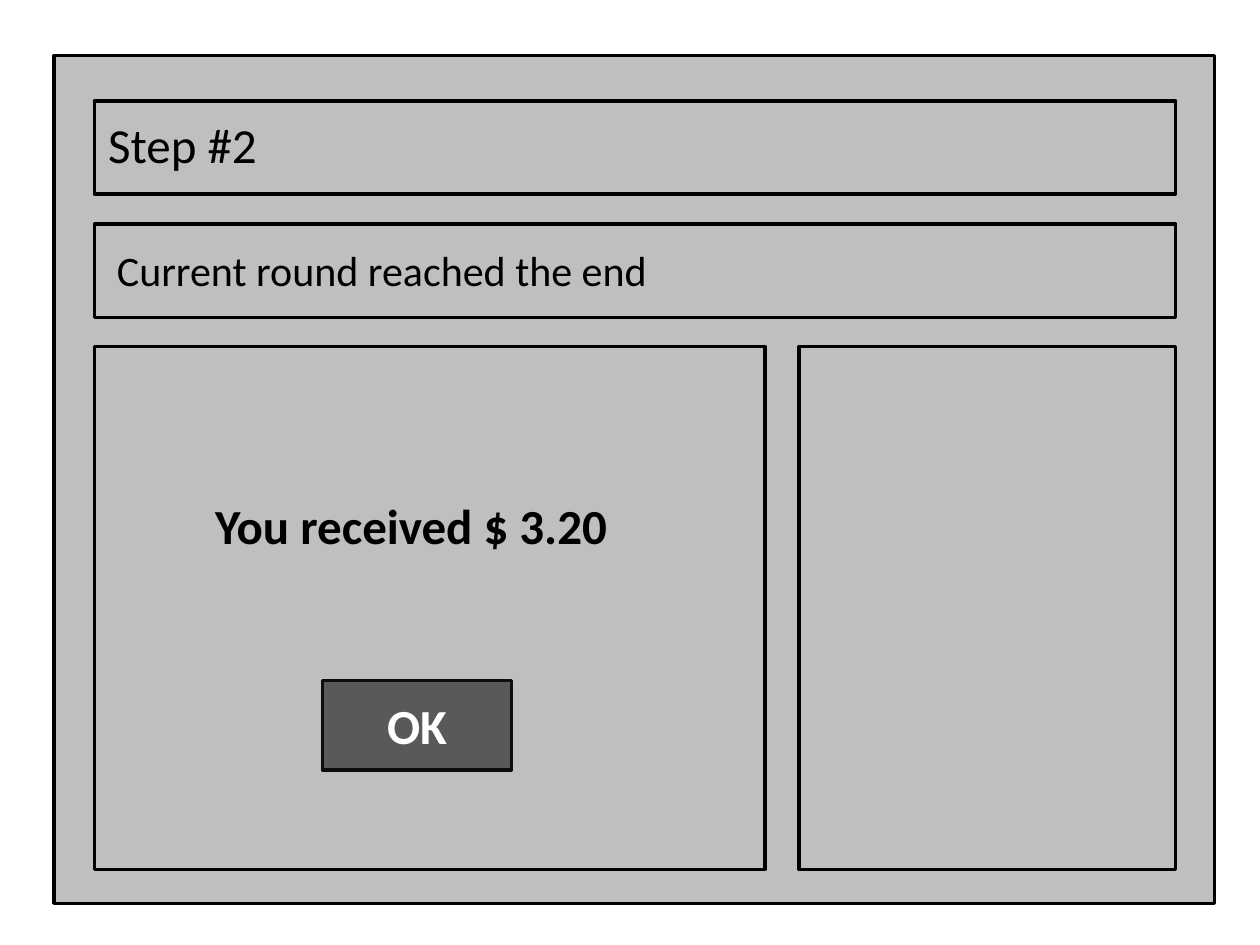
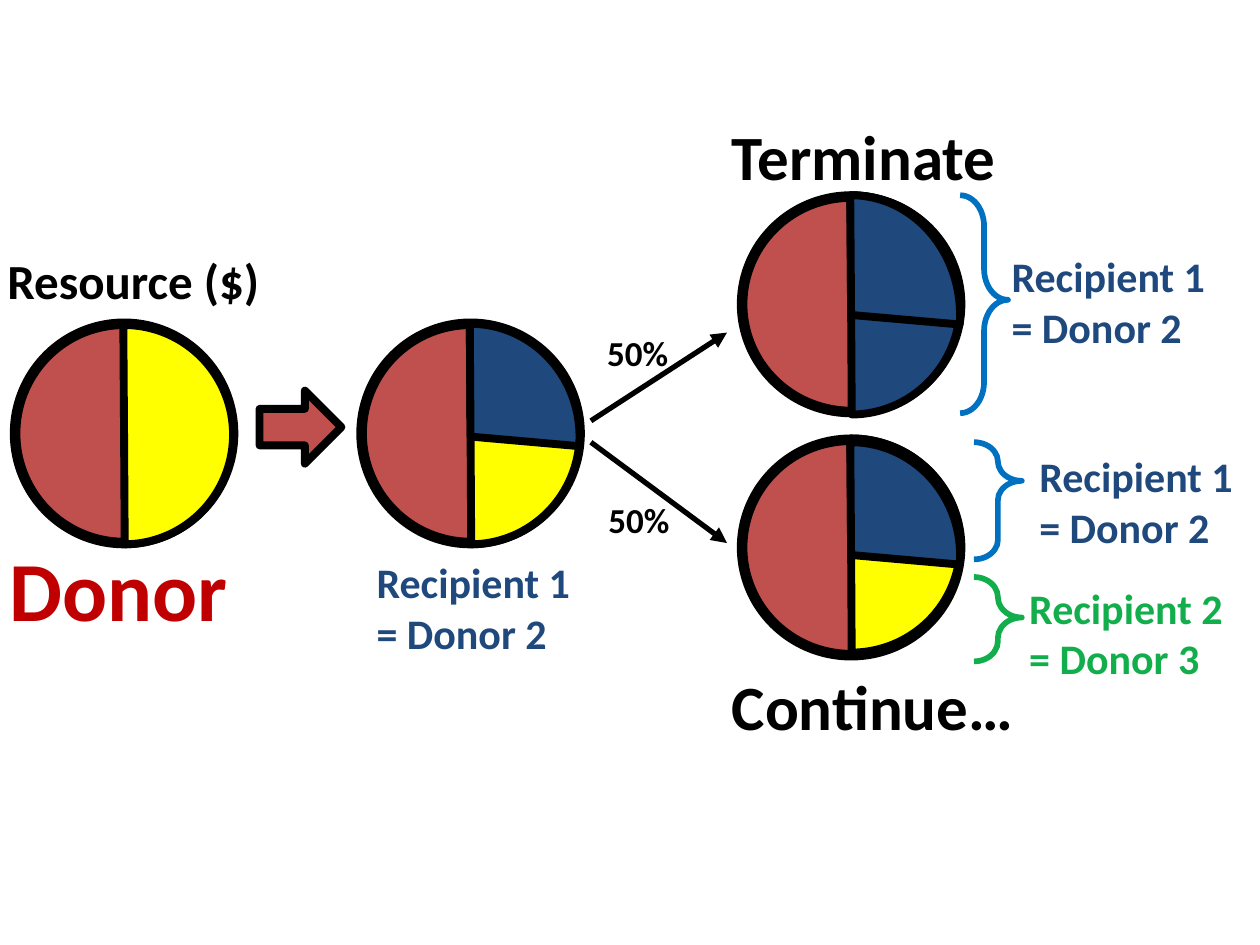
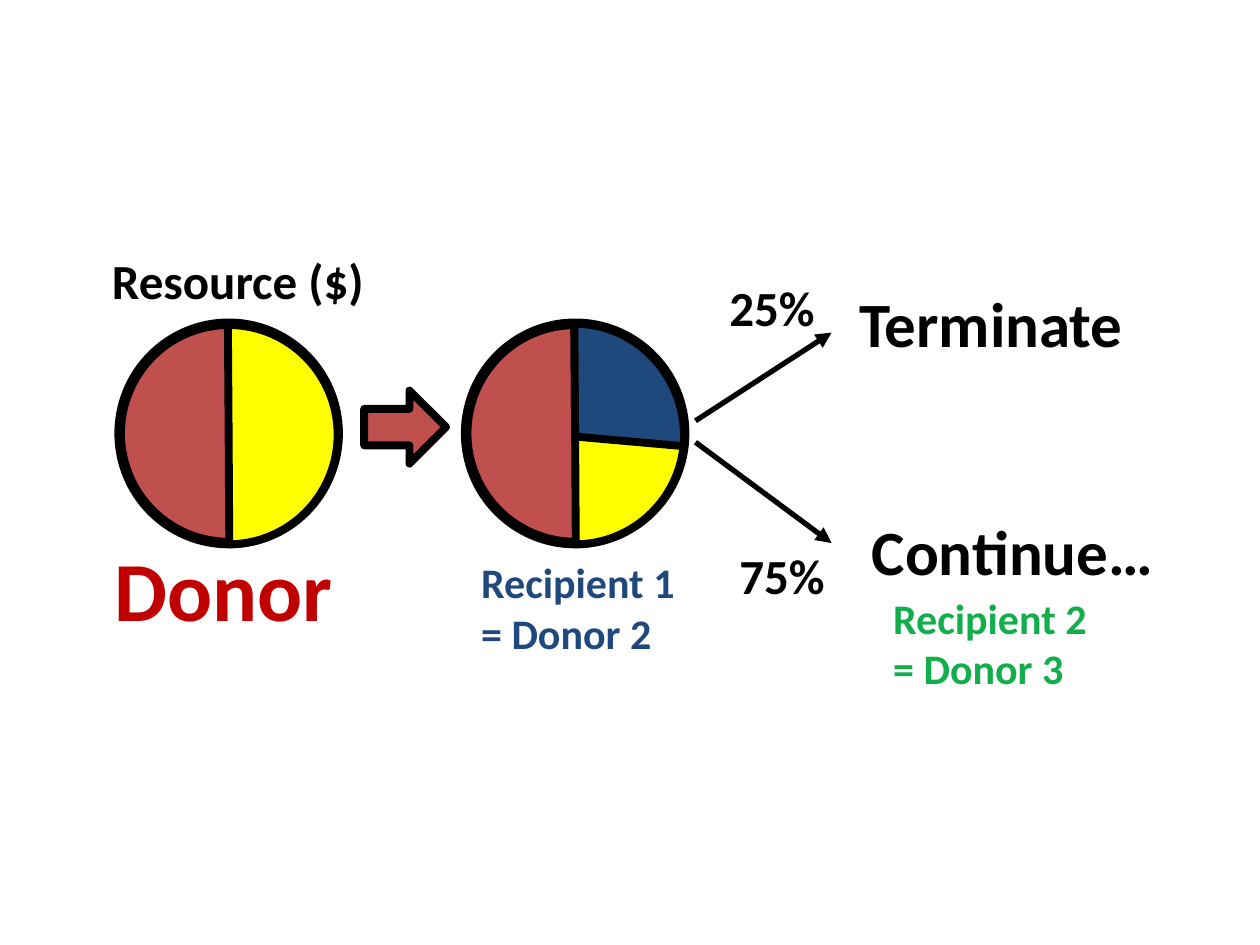
from pptx import Presentation
from pptx.dml.color import RGBColor
from pptx.enum.shapes import MSO_CONNECTOR, MSO_SHAPE
from pptx.enum.text import MSO_ANCHOR, MSO_AUTO_SIZE, PP_ALIGN
from pptx.oxml.ns import qn
from pptx.util import Inches, Pt
from lxml import etree

FONT = "Calibri"
BLACK = RGBColor(0x00, 0x00, 0x00)
WHITE = RGBColor(0xFF, 0xFF, 0xFF)
PANEL_GRAY = RGBColor(0xBF, 0xBF, 0xBF)
BUTTON_GRAY = RGBColor(0x59, 0x59, 0x59)
BUTTON_EDGE = RGBColor(0x0D, 0x0D, 0x0D)
DONOR_RED = RGBColor(0xC0, 0x00, 0x00)
SHARE_RED = RGBColor(0xC0, 0x50, 0x4D)
SHARE_YELLOW = RGBColor(0xFF, 0xFF, 0x00)
RECIPIENT_BLUE = RGBColor(0x1F, 0x49, 0x7D)
BRACE_BLUE = RGBColor(0x00, 0x70, 0xC0)
RECIPIENT_GREEN = RGBColor(0x11, 0xAE, 0x4B)

FIRST_RECIPIENT = "Recipient 1\n= Donor 2"
SECOND_RECIPIENT = "Recipient 2\n= Donor 3"

# Pie adjustments are 0.6 per degree, clockwise from three o'clock
PIE_START, HALF_END, QUARTER_END = 161.77, 53.8, 3.01


def add_figure(slide, kind, box, fill, line, line_width, adjustments=()):
    """Add a preset shape; box is left, top, width, height in inches."""
    shape = slide.shapes.add_shape(kind, *[Inches(length) for length in box])
    shape.shadow.inherit = False
    if fill is None:
        shape.fill.background()
    else:
        shape.fill.solid()
        shape.fill.fore_color.rgb = fill
    shape.line.color.rgb = line
    shape.line.width = Pt(line_width)
    for index, value in enumerate(adjustments):
        shape.adjustments[index] = value
    return shape


def add_label(slide, text, box, size, color=BLACK, bold=True, wrap=False):
    label = slide.shapes.add_textbox(*[Inches(length) for length in box])
    text_frame = label.text_frame
    text_frame.text = text
    text_frame.word_wrap = wrap
    text_frame.auto_size = MSO_AUTO_SIZE.NONE if wrap else MSO_AUTO_SIZE.SHAPE_TO_FIT_TEXT
    for paragraph in text_frame.paragraphs:
        paragraph.font.name = FONT
        paragraph.font.size = Pt(size)
        paragraph.font.bold = bold
        paragraph.font.color.rgb = color


presentation = Presentation()
presentation.slide_width = Inches(10)
presentation.slide_height = Inches(7.5)
blank_layout = presentation.slide_layouts[6]
screen_slide, even_slide, uneven_slide = [
    presentation.slides.add_slide(blank_layout) for _ in range(3)]

# Slide 1: the screen at the end of a round
LEFT, FULL_WIDTH, BAR_HEIGHT = 0.75, 8.58, 0.74
PANEL_TOP, PANEL_HEIGHT, SIDE_WIDTH = 2.75, 4.15, 2.99
side_left = LEFT + FULL_WIDTH - SIDE_WIDTH

add_figure(screen_slide, MSO_SHAPE.RECTANGLE, (0.43, 0.44, 9.21, 6.73), PANEL_GRAY, BLACK, 2)
for frame in [
    (LEFT, 0.8, FULL_WIDTH, BAR_HEIGHT),
    (LEFT, 1.78, FULL_WIDTH, BAR_HEIGHT),
    (LEFT, PANEL_TOP, 5.32, PANEL_HEIGHT),
    (side_left, PANEL_TOP, SIDE_WIDTH, PANEL_HEIGHT),
]:
    add_figure(screen_slide, MSO_SHAPE.RECTANGLE, frame, None, BLACK, 2)
add_label(screen_slide, "Step #2", (0.76, 0.86, 3.6, 0.63), 28, bold=False, wrap=True)
add_label(screen_slide, "Current round reached the end", (0.83, 1.89, 8.5, 0.52), 24,
          bold=False, wrap=True)
add_label(screen_slide, "You received $ 3.20", (1.61, 3.88, 3.62, 0.97), 28, wrap=True)

button = add_figure(screen_slide, MSO_SHAPE.RECTANGLE, (2.56, 5.4, 1.5, 0.71),
                    BUTTON_GRAY, BUTTON_EDGE, 2)
button.text_frame.text = "OK"
button.text_frame.vertical_anchor = MSO_ANCHOR.MIDDLE
caption = button.text_frame.paragraphs[0]
caption.alignment = PP_ALIGN.CENTER
caption.font.name = FONT
caption.font.size = Pt(28)
caption.font.bold = True
caption.font.color.rgb = WHITE

# Slides 2 and 3: how the resource is split; each part is (top, height)
DISC_WIDTH = 1.73
DISC, HALF, QUARTER = (2.57, 1.74), (2.58, 1.74), (2.57, 1.79)
SHIFT = 0.83

discs = [
    (slide, left + shift, DISC, HALF, SHARE_YELLOW, quarter)
    for slide, shift in [(even_slide, 0), (uneven_slide, SHIFT)]
    for left, quarter in [(0.12, None), (2.87, QUARTER)]
]
discs += [
    (even_slide, 5.89, (1.56, 1.71), (1.55, 1.74), RECIPIENT_BLUE, (1.55, 1.9)),
    (even_slide, 5.89, (3.49, 1.71), (3.48, 1.7), SHARE_YELLOW, (3.51, 1.79)),
]
for slide, left, disc, half, half_color, quarter in discs:
    add_figure(slide, MSO_SHAPE.OVAL, (left, disc[0], DISC_WIDTH, disc[1]), SHARE_RED, BLACK, 6)
    add_figure(slide, MSO_SHAPE.PIE, (left, half[0], DISC_WIDTH, half[1]),
               half_color, BLACK, 4.5, (PIE_START, HALF_END))
    if quarter:
        add_figure(slide, MSO_SHAPE.PIE, (left, quarter[0], DISC_WIDTH, quarter[1]),
                   RECIPIENT_BLUE, BLACK, 4.5, (PIE_START, QUARTER_END))

for slide, shift in [(even_slide, 0), (uneven_slide, SHIFT)]:
    add_figure(slide, MSO_SHAPE.RIGHT_ARROW, (2.06 + shift, 3.1, 0.65, 0.58),
               SHARE_RED, BLACK, 4.5)
    add_label(slide, "Resource ($)", (shift - 0.04, 1.94, 2.22, 0.57), 28)
    add_label(slide, "Donor", (shift - 0.02, 4.22, 1.95, 0.91), 48, DONOR_RED)
    add_label(slide, FIRST_RECIPIENT, (2.89 + shift, 4.37, 1.79, 0.91), 24, RECIPIENT_BLUE)
    for start, end in [(3.34, 2.64), (3.51, 4.31)]:
        branch = slide.shapes.add_connector(
            MSO_CONNECTOR.STRAIGHT, Inches(4.69 + shift), Inches(start),
            Inches(5.77 + shift), Inches(end))
        branch.line.color.rgb = BLACK
        branch.line.width = Pt(3)
        etree.SubElement(branch.line._get_or_add_ln(), qn("a:tailEnd"), type="triangle")
        etree.SubElement(branch._element.spPr, qn("a:effectLst"))

# Outcomes, with their chances and who receives what
for top, height, middle, color in [
    (1.55, 1.73, 0.48, BRACE_BLUE),
    (3.51, 0.93, 0.33, BRACE_BLUE),
    (4.58, 0.67, 0.48, RECIPIENT_GREEN),
]:
    left = 7.62 if top == 1.55 else 7.73
    add_figure(even_slide, MSO_SHAPE.RIGHT_BRACE, (left, top, 0.38, height),
               None, color, 3.25, (0.65, middle))

for slide, text, left, top, width, height, size, color in [
    (even_slide, "Terminate", 5.71, 0.88, 2.32, 0.71, 36, BLACK),
    (even_slide, "Continue…", 5.71, 5.25, 2.51, 0.71, 36, BLACK),
    (even_slide, "50%", 4.72, 2.58, 0.69, 0.44, 20, BLACK),
    (even_slide, "50%", 4.73, 3.91, 0.69, 0.44, 20, BLACK),
    (even_slide, FIRST_RECIPIENT, 7.93, 1.94, 1.79, 0.91, 24, RECIPIENT_BLUE),
    (even_slide, FIRST_RECIPIENT, 8.15, 3.53, 1.79, 0.91, 24, RECIPIENT_BLUE),
    (even_slide, SECOND_RECIPIENT, 8.07, 4.57, 1.79, 0.91, 24, RECIPIENT_GREEN),
    (uneven_slide, "Terminate", 6.72, 2.21, 2.32, 0.71, 36, BLACK),
    (uneven_slide, "Continue…", 6.82, 4.02, 2.51, 0.71, 36, BLACK),
    (uneven_slide, "25%", 5.69, 2.15, 0.89, 0.57, 28, BLACK),
    (uneven_slide, "75%", 5.77, 4.28, 0.89, 0.57, 28, BLACK),
    (uneven_slide, SECOND_RECIPIENT, 6.99, 4.65, 1.79, 0.91, 24, RECIPIENT_GREEN),
]:
    add_label(slide, text, (left, top, width, height), size, color)

presentation.save("out.pptx")
